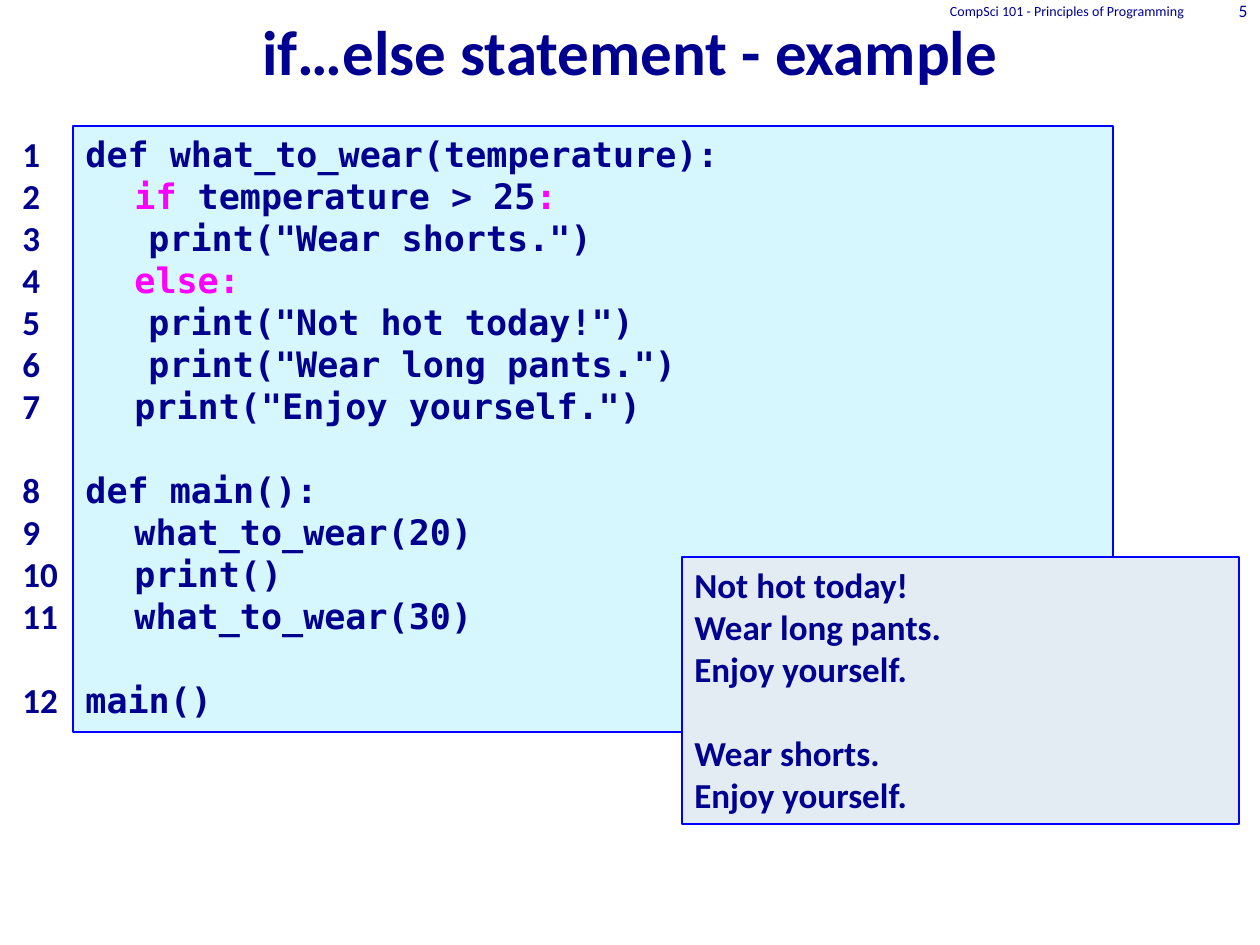
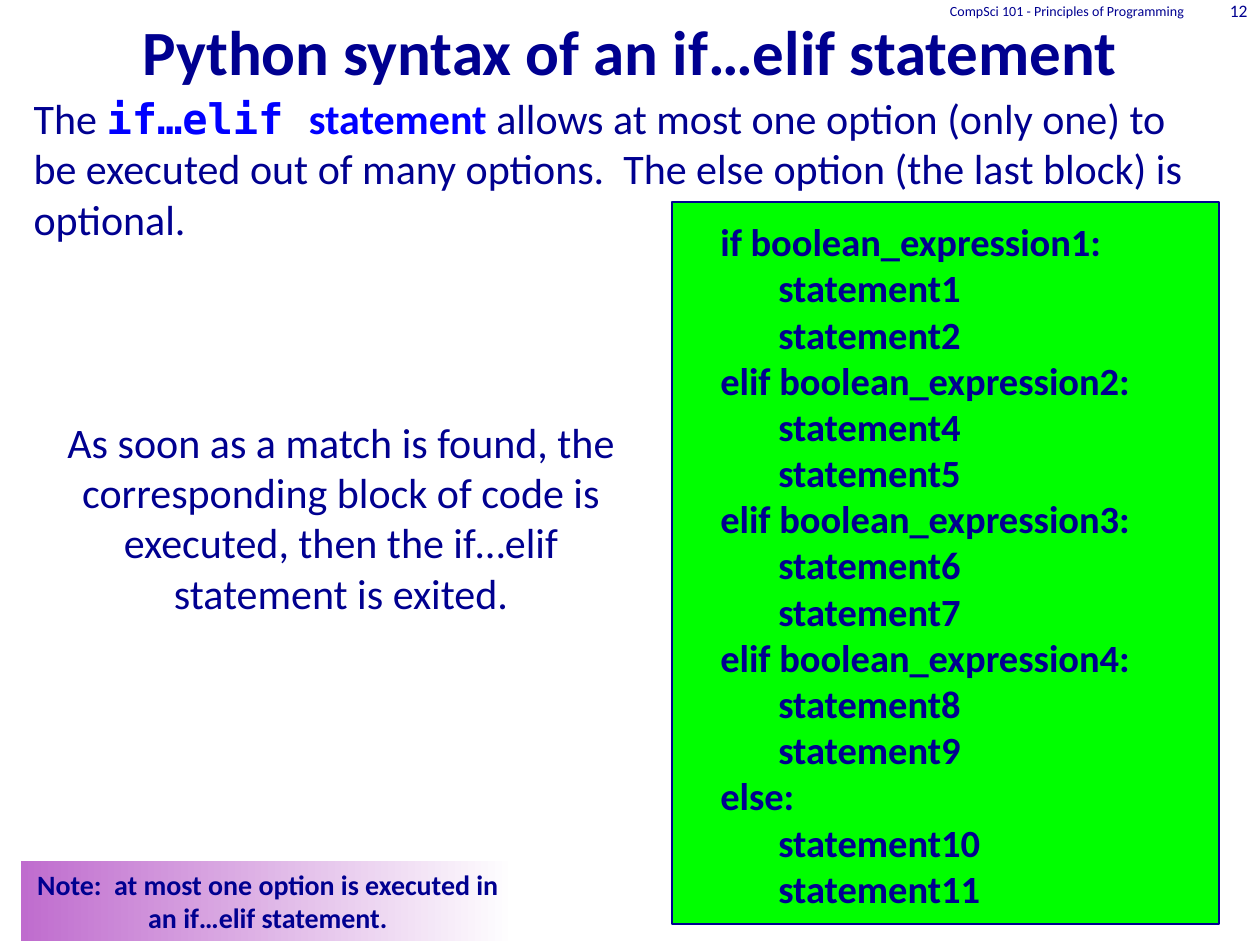
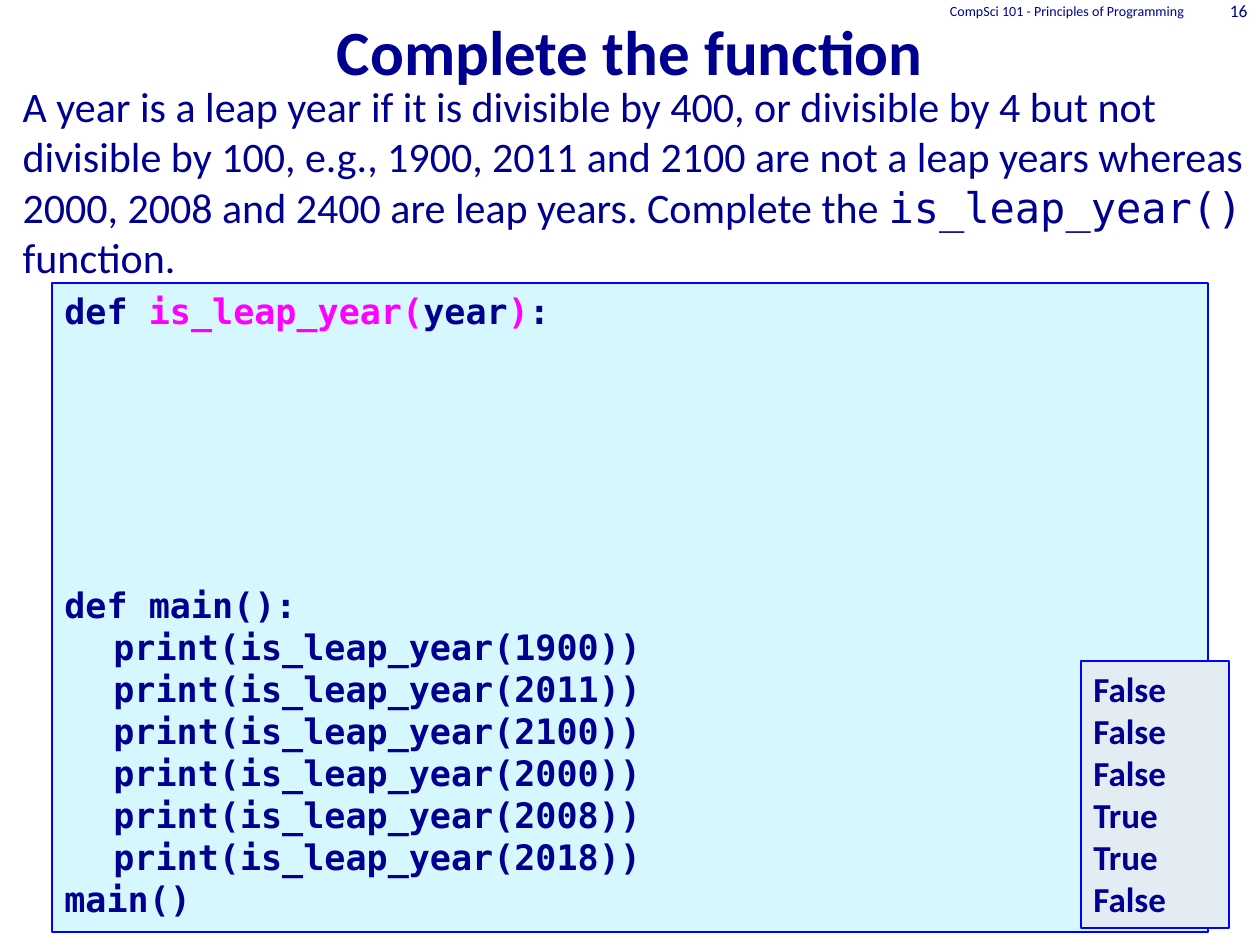
"""Build three lecture slides on Python if statements."""
import dataclasses

import lxml.etree
import pptx
import pptx.dml.color
import pptx.enum.shapes
import pptx.enum.text
import pptx.oxml.ns
import pptx.util

ALIGN = pptx.enum.text.PP_ALIGN
ANCHOR = pptx.enum.text.MSO_ANCHOR


@dataclasses.dataclass(frozen=True)
class Theme:
    sans: str = "Calibri"
    mono: str = "DejaVu Sans Mono"
    ink: str = "000090"
    blue: str = "0000FF"
    accent: str = "FF00FF"
    code: str = "D7F7FF"
    output: str = "E3EBF3"
    syntax: str = "00FF00"
    note: tuple = ("BF6CCE", "FFFFFF")
    title_size: int = 36
    body_size: int = 24
    syntax_size: int = 22
    code_size: int = 20
    note_size: int = 16
    number_size: int = 10
    course_size: int = 8
    line_width: float = 0.75


THEME = Theme()
COURSE = "CompSci 101 - Principles of Programming"
KEYWORD = {"color": THEME.accent}
TERM = {"color": THEME.blue, "bold": True}

WEAR_CODE = [
    "def what_to_wear(temperature):",
    ["\t", ("if", KEYWORD), " temperature > 25", (":", KEYWORD)],
    '\t\tprint("Wear shorts.")',
    ["\t", ("else:", KEYWORD)],
    '\t\tprint("Not hot today!")',
    '\t\tprint("Wear long pants.")',
    '\tprint("Enjoy yourself.")',
    "def main():",
    "\twhat_to_wear(20)",
    "\tprint()",
    "\twhat_to_wear(30)",
    "main()",
]
WEAR_GAPS = {7: 1, 11: 1}
WEAR_OUTPUT = ["Not hot today!", "Wear long pants.", "Enjoy yourself.",
               "Wear shorts.", "Enjoy yourself."]

ELIF_INTRO = [[
    "The ",
    ("if…elif ", {**TERM, "font": THEME.mono}),
    ("statement ", TERM),
    "allows at most one option (only one) to be executed out of many options."
    "  The else option (the last block) is optional.",
]]
ELIF_BRANCHES = [
    ("if boolean_expression1:", (1, 2)),
    ("elif boolean_expression2:", (4, 5)),
    ("elif boolean_expression3:", (6, 7)),
    ("elif boolean_expression4:", (8, 9)),
    ("else:", (10, 11)),
]
ELIF_MATCH = ["As soon as a match is found, the corresponding block of code is "
              "executed, then the if…elif statement is exited."]
ELIF_NOTE = ["Note:  at most one option is executed in an if…elif statement."]

LEAP_INTRO = [[
    "A year is a leap year if it is divisible by 400, or divisible by 4 but not "
    "divisible by 100, e.g., 1900, 2011 and 2100 are not a leap years whereas "
    "2000, 2008 and 2400 are leap years. Complete the ",
    ("is_leap_year() ", {"font": THEME.mono}),
    "function.",
]]
LEAP_CODE = [
    ["def ", ("is_leap_year(", KEYWORD), "year", (")", KEYWORD), ":"],
    "def main():",
    *[f"\tprint(is_leap_year({year}))" for year in (1900, 2011, 2100, 2000, 2008, 2018)],
    "main()",
]
LEAP_OUTPUT = ["False", "False", "False", "True", "True", "False"]


def px(length):
    return pptx.util.Emu(round(length * 914400 / 126))


def rgb(value):
    return pptx.dml.color.RGBColor.from_string(value)


def place(shape, area):
    shape.left, shape.top, shape.width, shape.height = map(px, area)


def set_tabs(para, stops):
    properties = para._p.get_or_add_pPr()
    tab_list = lxml.etree.SubElement(properties, pptx.oxml.ns.qn("a:tabLst"))
    for stop in stops:
        lxml.etree.SubElement(tab_list, pptx.oxml.ns.qn("a:tab"), pos=str(px(stop)), algn="l")


def write(shape, lines, size, bold=False, font=THEME.sans, align=ALIGN.LEFT,
          anchor=ANCHOR.TOP, tabs=(), gaps=None):
    """Fill a shape with lines; gaps maps a line index to the lines left free above it."""
    frame = shape.text_frame
    frame.word_wrap = True
    frame.auto_size = pptx.enum.text.MSO_AUTO_SIZE.NONE
    frame.vertical_anchor = anchor
    for index, line in enumerate(lines):
        para = frame.paragraphs[0] if index == 0 else frame.add_paragraph()
        para.alignment = align
        para.font.name = font
        para.font.size = pptx.util.Pt(size)
        para.font.bold = bold
        para.font.color.rgb = rgb(THEME.ink)
        if gaps and index in gaps:
            para.space_before = pptx.util.Pt(gaps[index] * size * 1.2)
        if tabs:
            set_tabs(para, tabs)
        for part in [line] if isinstance(line, str) else line:
            text, style = (part, {}) if isinstance(part, str) else part
            span = para.add_run()
            span.text = text
            if "font" in style:
                span.font.name = style["font"]
            if "bold" in style:
                span.font.bold = style["bold"]
            if "color" in style:
                span.font.color.rgb = rgb(style["color"])


def add_text(page, area, lines, size, **style):
    write(page.shapes.add_textbox(*map(px, area)), lines, size, **style)


def add_box(page, area, fill, line=THEME.blue):
    box = page.shapes.add_shape(pptx.enum.shapes.MSO_SHAPE.RECTANGLE, *map(px, area))
    box.shadow.inherit = False
    if isinstance(fill, str):
        box.fill.solid()
        box.fill.fore_color.rgb = rgb(fill)
    else:
        box.fill.gradient()
        box.fill.gradient_angle = 0
        for position, (stop, color) in enumerate(zip(box.fill.gradient_stops, fill)):
            stop.position = position
            stop.color.rgb = rgb(color)
    if line:
        box.line.color.rgb = rgb(line)
        box.line.width = pptx.util.Pt(THEME.line_width)
    else:
        box.line.fill.background()
    return box


def add_code(page, area, lines, tabs, gaps):
    write(add_box(page, area, THEME.code), lines, THEME.code_size, bold=True,
          font=THEME.mono, tabs=tabs, gaps=gaps)


def add_output(page, area, lines, gaps=None):
    write(add_box(page, area, THEME.output), lines, THEME.code_size, bold=True, gaps=gaps)


def add_page(deck, title, number, intro=None, intro_area=None):
    page = deck.slides.add_slide(deck.slide_layouts[1 if intro else 5])
    heading = page.shapes.title
    place(heading, (0, 0, 1260, 94))
    write(heading, [title], THEME.title_size, bold=True, align=ALIGN.CENTER,
          anchor=ANCHOR.BOTTOM)
    if intro:
        body = page.placeholders[1]
        place(body, intro_area)
        write(body, intro, THEME.body_size)
        for para in body.text_frame.paragraphs:
            properties = para._p.get_or_add_pPr()
            properties.set("marL", "0")
            properties.set("indent", "0")
            lxml.etree.SubElement(properties, pptx.oxml.ns.qn("a:buNone"))
    for area, text, size in (((777, -21, 420, 63), COURSE, THEME.course_size),
                             ((1187, 0, 73, 21), str(number), THEME.number_size)):
        add_text(page, area, [text], size, align=ALIGN.RIGHT, anchor=ANCHOR.MIDDLE)
    return page


def build_wear(deck):
    page = add_page(deck, "if…else statement - example", 5)
    numbers = [str(index + 1) for index in range(len(WEAR_CODE))]
    add_text(page, (10, 126, 63, 606), numbers, THEME.code_size, bold=True, gaps=WEAR_GAPS)
    add_code(page, (73, 126, 1040, 606), WEAR_CODE, (49,), WEAR_GAPS)
    add_output(page, (682, 557, 557, 267), WEAR_OUTPUT, {3: 1})


def build_elif(deck):
    page = add_page(deck, "Python syntax of an if…elif statement", 12,
                    ELIF_INTRO, (21, 86, 1207, 646))
    add_box(page, (672, 202, 547, 722), THEME.syntax, THEME.ink)
    lines = []
    for condition, statements in ELIF_BRANCHES:
        lines += [condition, *[f"\tstatement{number}" for number in statements]]
    add_text(page, (708, 212, 552, 733), lines, THEME.syntax_size, bold=True, tabs=(58,))
    add_text(page, (42, 410, 598, 217), ELIF_MATCH, THEME.body_size, align=ALIGN.CENTER)
    note = add_box(page, (21, 861, 494, 80), THEME.note, None)
    write(note, ELIF_NOTE, THEME.note_size, bold=True, align=ALIGN.CENTER)


def build_leap(deck):
    page = add_page(deck, "Complete the function", 16, LEAP_INTRO, (10, 74, 1260, 640))
    add_code(page, (52, 283, 1156, 649), LEAP_CODE, (49, 107, 156), {1: 6})
    add_output(page, (1081, 661, 148, 267), LEAP_OUTPUT)


def main():
    deck = pptx.Presentation()
    deck.slide_width, deck.slide_height = px(1260), px(945)
    for build in (build_wear, build_elif, build_leap):
        build(deck)
    deck.save("out.pptx")


if __name__ == "__main__":
    main()
